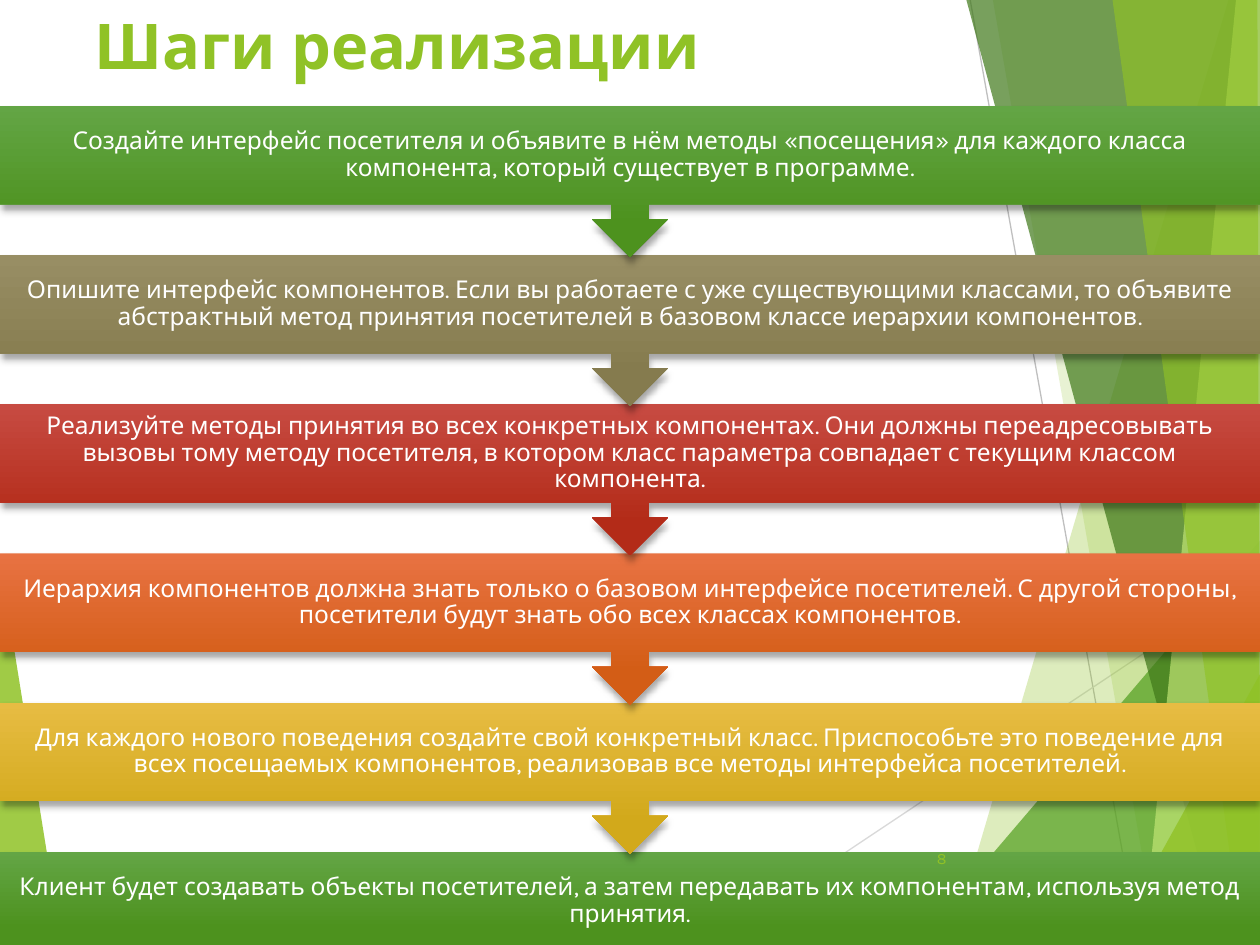
from dataclasses import dataclass

from lxml.etree import SubElement
from pptx import Presentation
from pptx.dml.color import RGBColor
from pptx.enum.shapes import MSO_CONNECTOR, MSO_SHAPE
from pptx.enum.text import MSO_ANCHOR, PP_ALIGN
from pptx.oxml.ns import qn
from pptx.util import Inches, Pt


@dataclass(frozen=True)
class Theme:
    font: str = "Karla"
    accent: str = "90C226"
    green: str = "54A021"
    dark_green: str = "3F7819"
    light_green: str = "C0E474"
    white: str = "FFFFFF"
    title_size: int = 36
    step_size: int = 14
    number_size: int = 9


theme = Theme()
presentation = Presentation()
presentation.slide_width = Inches(10)
presentation.slide_height = Inches(7.5)
column = presentation.slide_width / 100
row = presentation.slide_height / 75
slide = presentation.slides.add_slide(presentation.slide_layouts[5])
shapes = slide.shapes


def grid(*lengths):
    return [round(length * (row if index % 2 else column)) for index, length in enumerate(lengths)]


def write(shape, text, size, color, alignment, anchor, inset, bold=False):
    frame = shape.text_frame
    frame.word_wrap = True
    frame.vertical_anchor = anchor
    frame.margin_left = frame.margin_right = round(inset * column)
    frame.margin_top = frame.margin_bottom = round(inset * row / 2)
    paragraph = frame.paragraphs[0]
    paragraph.alignment = alignment
    run = paragraph.add_run()
    run.text = text
    run.font.name = theme.font
    run.font.size = Pt(size)
    run.font.bold = bold
    run.font.color.rgb = RGBColor.from_string(color)
    return paragraph


left_facet = (theme.accent, 85, [(-0.1, 43.9), (4.9, 75), (-0.1, 75)])
right_facets = [
    (theme.accent, 30, [(97.5, 0), (75.4, 75), (100, 75), (100, 0)]),
    (theme.accent, 20, [(78.8, 0), (91.9, 75), (100, 75), (100, 0)]),
    (theme.green, 72, [(72.6, 75), (100, 42.9), (100, 75)]),
    (theme.dark_green, 70, [(76.7, 0), (97, 75), (100, 75), (100, 0)]),
    (theme.light_green, 70, [(98.1, 0), (90.7, 75), (100, 75), (100, 0)]),
    (theme.accent, 65, [(88.3, 0), (98.6, 75), (100, 75), (99.8, 0)]),
    (theme.accent, 80, [(88.1, 75), (100, 53.5), (100, 75)]),
]
for color, opacity, corners in [left_facet, *right_facets]:
    start, *others = [grid(*corner) for corner in corners]
    builder = shapes.build_freeform(*start)
    builder.add_line_segments(others, close=True)
    facet = builder.convert_to_shape()
    facet.shadow.inherit = False
    facet.fill.solid()
    facet.fill.fore_color.rgb = RGBColor.from_string(color)
    facet.line.fill.background()
    color_element = facet._element.spPr.find(qn("a:solidFill"))[0]
    SubElement(color_element, qn("a:alpha"), val=str(opacity * 1000))

for ends, color in [((56.1, 75, 100, 45.7), "D9D9D9"), ((77, 0, 90.4, 75), "BFBFBF")]:
    line = shapes.add_connector(MSO_CONNECTOR.STRAIGHT, *grid(*ends))
    line.line.color.rgb = RGBColor.from_string(color)
    line.line.width = Pt(0.75)
    SubElement(line._element.spPr, qn("a:effectLst"))
    shapes._spTree.insert(3, line._element)

title = shapes.title
title.left, title.top, title.width, title.height = grid(6.5, 0, 69.4, 14.4)
write(title, "Шаги реализации", theme.title_size, theme.accent,
      PP_ALIGN.LEFT, MSO_ANCHOR.TOP, 1, bold=True)
shapes._spTree.append(title._element)

steps = [
    ("63A545", "4D921E", "Создайте интерфейс посетителя и объявите в нём методы «посещения» для каждого класса компонента, который существует в программе."),
    ("988E64", "857B4E", "Опишите интерфейс компонентов. Если вы работаете с уже существующими классами, то объявите абстрактный метод принятия посетителей в базовом классе иерархии компонентов."),
    ("C74B42", "B32B18", "Реализуйте методы принятия во всех конкретных компонентах. Они должны переадресовывать вызовы тому методу посетителя, в котором класс параметра совпадает с текущим классом компонента."),
    ("E87242", "D35D16", "Иерархия компонентов должна знать только о базовом интерфейсе посетителей. С другой стороны, посетители будут знать обо всех классах компонентов."),
    ("E7BC43", "D2A91B", "Для каждого нового поведения создайте свой конкретный класс. Приспособьте это поведение для всех посещаемых компонентов, реализовав все методы интерфейса посетителей."),
    ("63A545", "4D921E", "Клиент будет создавать объекты посетителей, а затем передавать их компонентам, используя метод принятия."),
]
first_top, pitch, band_height, callout_height = 8.4, 11.84, 7.8, 12
last = len(steps) - 1
for index, (light, dark, text) in reversed(list(enumerate(steps))):
    top = first_top + index * pitch
    if index == last:
        band = shapes.add_shape(MSO_SHAPE.RECTANGLE, *grid(0, top, 100, band_height))
    else:
        band = shapes.add_shape(MSO_SHAPE.UP_ARROW_CALLOUT, *grid(0, top, 100, callout_height))
        band.rotation = 180
    band.line.fill.background()
    band.fill.gradient()
    band.fill.gradient_angle = 270
    for stop, color, position in zip(band.fill.gradient_stops, (light, dark), (0, 0.78)):
        stop.color.rgb = RGBColor.from_string(color)
        stop.position = position
    properties = band._element.spPr
    properties.find(qn("a:gradFill")).set("rotWithShape", "0")
    effects = SubElement(properties, qn("a:effectLst"))
    shadow = SubElement(effects, qn("a:outerShdw"), blurRad=str(Pt(4)), dist=str(Pt(3)),
                        dir="5400000", rotWithShape="0")
    shadow_color = SubElement(shadow, qn("a:srgbClr"), val="000000")
    SubElement(shadow_color, qn("a:alpha"), val="35000")

    label = shapes.add_textbox(*grid(0, top, 100, band_height))
    paragraph = write(label, text, theme.step_size, theme.white,
                      PP_ALIGN.CENTER, MSO_ANCHOR.MIDDLE, 1.1)
    paragraph.line_spacing = 0.9

number = shapes.add_textbox(*grid(70.5, 66.1, 5.6, 4))
write(number, "8", theme.number_size, theme.accent, PP_ALIGN.RIGHT, MSO_ANCHOR.MIDDLE, 1)

presentation.save("out.pptx")
